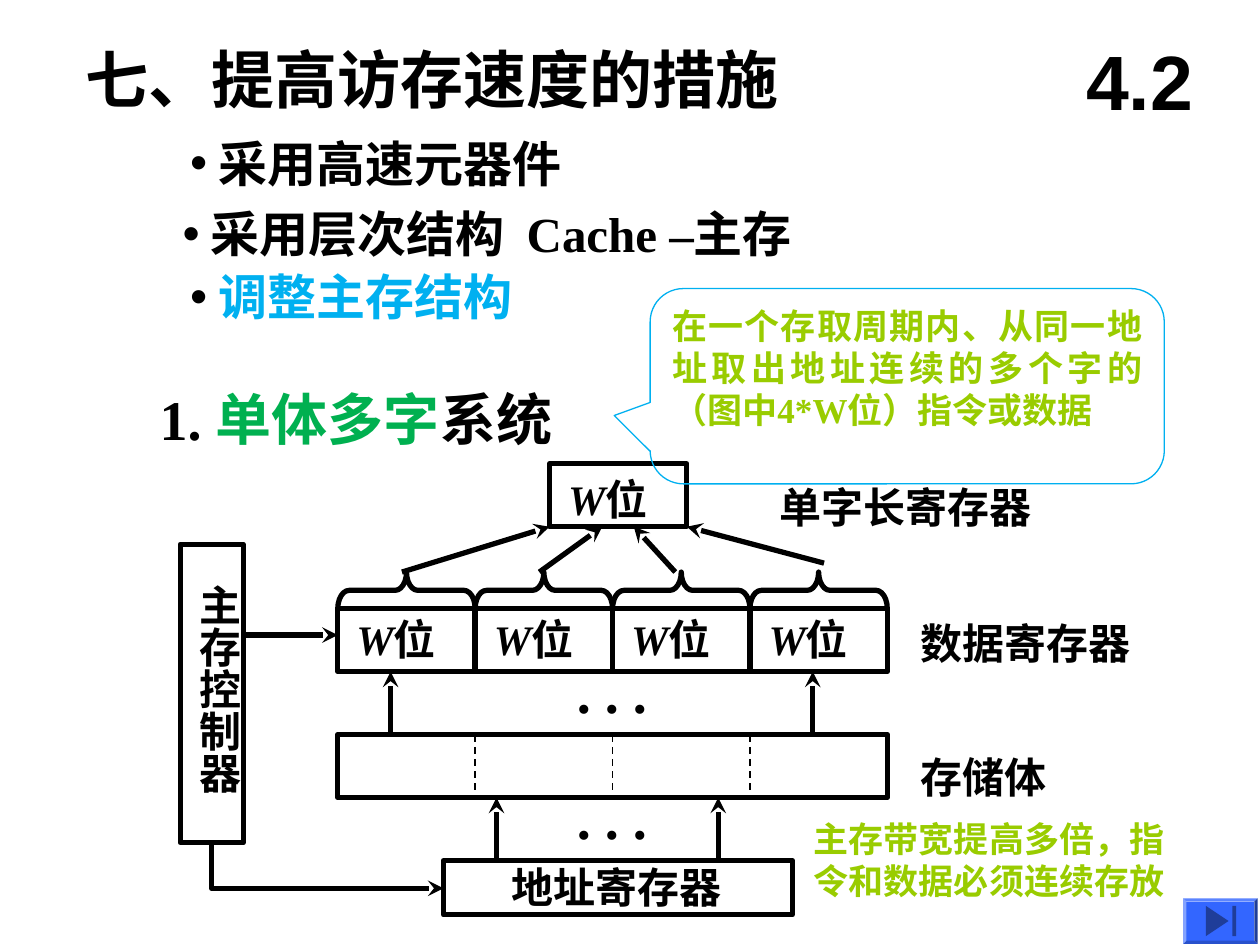
from lxml import etree
from pptx import Presentation
from pptx.dml.color import RGBColor
from pptx.enum.dml import MSO_LINE
from pptx.enum.shapes import MSO_CONNECTOR, MSO_SHAPE
from pptx.enum.text import MSO_ANCHOR, MSO_AUTO_SIZE, PP_ALIGN
from pptx.oxml.ns import qn
from pptx.util import Pt

STRAIGHT = MSO_CONNECTOR.STRAIGHT
RECTANGLE = MSO_SHAPE.RECTANGLE
CALLOUT = MSO_SHAPE.ROUNDED_RECTANGULAR_CALLOUT
DASH = MSO_LINE.DASH
TOP, MIDDLE = MSO_ANCHOR.TOP, MSO_ANCHOR.MIDDLE
LEFT, CENTER, JUSTIFY = PP_ALIGN.LEFT, PP_ALIGN.CENTER, PP_ALIGN.JUSTIFY

COLORS = {name: RGBColor.from_string(value) for name, value in {
    "black": "000000", "blue": "00B0F0", "green": "00B050", "lime": "99CC00",
    "button": "3366FF", "symbol": "1F3D99"}.items()}


def write(para, spans, size, font="Times New Roman", align=LEFT):
    """Fill a paragraph with bold (text, colour, italic) spans."""
    para.alignment = align
    for text, color, italic in spans:
        span = para.add_run()
        span.text = text
        span.font.name = font
        span.font.size = Pt(size)
        span.font.bold = True
        span.font.italic = italic
        span.font.color.rgb = COLORS[color]


def stroke(shape, width=3, color="black", arrow=False):
    shape.line.color.rgb = COLORS[color]
    shape.line.width = Pt(width)
    if arrow:
        etree.SubElement(shape.line._get_or_add_ln(), qn("a:tailEnd"), type="stealth")


deck = Presentation()
deck.slide_width, deck.slide_height = Pt(720), Pt(540)
page = deck.slides.add_slide(deck.slide_layouts[1])
shapes = page.shapes

# Title and list
title, body = page.placeholders
for box, (left, top, width, height) in ((title, (41.8, 19.4, 426, 50.4)),
                                        (body, (97.2, 72.7, 395, 132))):
    box.left, box.top, box.width, box.height = Pt(left), Pt(top), Pt(width), Pt(height)
    box.text_frame.vertical_anchor = TOP
    box.text_frame.auto_size = MSO_AUTO_SIZE.NONE
write(title.text_frame.paragraphs[0], [("七、提高访存速度的措施", "black", False)], 36)

bullets = [
    (4.3, 0, [(" 采用高速元器件", "black", False)]),
    (0, 6.5, [(" 采用层次结构  Cache –主存", "black", False)]),
    (4.3, 2.5, [(" ", "black", False), ("调整主存结构", "blue", False)]),
]
for number, (margin, gap, spans) in enumerate(bullets):
    para = body.text_frame.paragraphs[0] if number == 0 else body.text_frame.add_paragraph()
    write(para, spans, 28)
    para.space_before = Pt(gap)
    para.line_spacing = 1.0
    settings = para._p.get_or_add_pPr()
    settings.set("marL", str(Pt(margin)))
    settings.set("indent", "0")
    bullet_color = etree.SubElement(settings, qn("a:buClr"))
    etree.SubElement(bullet_color, qn("a:srgbClr"), val=str(COLORS["black"]))
    etree.SubElement(settings, qn("a:buChar"), char="•")

# Register and memory blocks
CELL_W, CELL_H = 78.5, 36
WORD_LEFT, WORD_TOP, WORD_BOTTOM = 314, 265, 301
DATA_LEFT, DATA_TOP, DATA_BOTTOM = 193, 347.8, 383.8
MEMORY_TOP, MEMORY_BOTTOM = 419.8, 455.8
ADDRESS_TOP = 491.8
columns = [DATA_LEFT + CELL_W * i for i in range(4)]

blocks = [(103, 311, 36, 170.6), (WORD_LEFT, WORD_TOP, CELL_W, CELL_H),
          (DATA_LEFT, MEMORY_TOP, CELL_W * 4, CELL_H), (253.4, ADDRESS_TOP, 199.4, 31)]
blocks += [(left, DATA_TOP, CELL_W, CELL_H) for left in columns]
for left, top, width, height in blocks:
    block = shapes.add_shape(RECTANGLE, Pt(left), Pt(top), Pt(width), Pt(height))
    block.shadow.inherit = False
    block.fill.background()
    stroke(block)

# Braces above the data cells, turned so that their tips point up
BRACE_W = 20.9
for left in columns:
    brace = shapes.add_shape(MSO_SHAPE.LEFT_BRACE, Pt(left + (CELL_W - BRACE_W) / 2),
                             Pt(DATA_TOP - (CELL_W + BRACE_W) / 2), Pt(BRACE_W), Pt(CELL_W))
    brace.rotation = 90
    brace.adjustments[0] = 0.31
    brace.shadow.inherit = False
    brace.fill.background()
    stroke(brace)

# Arrows, then the dashed cell borders in the memory
WORD_RIGHT = WORD_LEFT + CELL_W
lines = [
    (229.7, 326.9, WORD_LEFT, WORD_BOTTOM), (470.9, 321.8, WORD_RIGHT, WORD_BOTTOM),
    (308.2, 326.9, 344.2, WORD_BOTTOM), (385.9, 326.9, 362.2, WORD_BOTTOM),
    (139, 362.9, DATA_LEFT, 362.9),
]
lines += [(x, MEMORY_TOP, x, DATA_BOTTOM) for x in (223.2, 464.4)]
lines += [(x, ADDRESS_TOP, x, MEMORY_BOTTOM) for x in (283.7, 410.4)]
arrow_count = len(lines)
lines += [(x, MEMORY_TOP, x, MEMORY_BOTTOM) for x in columns[1:]]
for number, ends in enumerate(lines):
    line = shapes.add_connector(STRAIGHT, *(Pt(end) for end in ends))
    is_arrow = number < arrow_count
    stroke(line, 3 if is_arrow else 1)
    if is_arrow:
        etree.SubElement(line.line._get_or_add_ln(), qn("a:tailEnd"), type="stealth")
    else:
        line.line.dash_style = DASH
    etree.SubElement(line._element.spPr, qn("a:effectLst"))

route = shapes.build_freeform(Pt(121), Pt(481.6))
route.add_line_segments([(Pt(121), Pt(507.6)), (Pt(253.4), Pt(507.6))], close=False)
elbow = route.convert_to_shape()
elbow.shadow.inherit = False
elbow.fill.background()
stroke(elbow, arrow=True)

# Labels
word = [("W", "black", True), ("位", "black", False)]
labels = [(left + 3.6, 347, 65.5, 36, word, 24) for left in columns]
labels += [(317.5, 267.1, 65.5, 36, word, 24)]
labels += [(left, top, width, height, [(text, "black", False)], size)
           for left, top, width, height, text, size in (
               (285.5, 488.9, 136.8, 36, "地址寄存器", 24),
               (438.5, 271.4, 163.4, 36, "单字长寄存器", 24),
               (519.1, 349.2, 139.7, 36, "数据寄存器", 24),
               (519.1, 426.2, 91.4, 36, "存储体", 24),
               (322.6, 372.2, 61.9, 46, ". . .", 32),
               (322.6, 444.2, 61.9, 46, ". . .", 32))]
labels += [(84.2, 216, 252, 84.2, [("1. ", "black", False), ("单体多字", "green", False),
                                   ("系统", "black", False)], 32)]
for left, top, width, height, spans, size in labels:
    box = shapes.add_textbox(Pt(left), Pt(top), Pt(width), Pt(height))
    box.text_frame.word_wrap = False
    write(box.text_frame.paragraphs[0], spans, size)

controller = shapes.add_textbox(Pt(100.1), Pt(316), Pt(43.2), Pt(142))
frame = controller.text_frame
frame.word_wrap = False
frame.margin_left = frame.margin_right = Pt(3.6)
frame.margin_top, frame.margin_bottom = Pt(18), Pt(7.2)
frame._txBody.bodyPr.set("vert", "eaVert")
write(frame.paragraphs[0], [("主存控制器", "black", False)], 24)

section = shapes.add_textbox(Pt(606.2), Pt(12.2), Pt(90), Pt(66.2))
section.text_frame.word_wrap = True
section.text_frame.vertical_anchor = MIDDLE
write(section.text_frame.paragraphs[0], [("4.2", "black", False)], 44, "Arial", CENTER)

# Callouts
callouts = [
    ((371.5, 164.9, 293.8, 111.6), (-0.57, 0.15, 0.17), JUSTIFY, True,
     "在一个存取周期内、从同一地址取出地址连续的多个字的（图中4*W位）指令或数据"),
    ((455, 460.8, 232.6, 59.8), (-0.49, -0.76, 0.17), LEFT, False,
     "主存带宽提高多倍，指令和数据必须连续存放"),
]
for area, adjustments, align, outlined, text in callouts:
    callout = shapes.add_shape(CALLOUT, *(Pt(length) for length in area))
    for index, value in enumerate(adjustments):
        callout.adjustments[index] = value
    callout.shadow.inherit = False
    callout.fill.background()
    if outlined:
        stroke(callout, 0.75, "blue")
    else:
        callout.line.fill.background()
    callout.text_frame.word_wrap = True
    callout.text_frame.vertical_anchor = TOP
    write(callout.text_frame.paragraphs[0], [(text, "lime", False)], 20, align=align)

# Button to the last slide
button_parts = [
    (MSO_SHAPE.BEVEL, (676.1, 513.4, 42.5, 25.9), 0, "button"),
    (MSO_SHAPE.ISOSCELES_TRIANGLE, (686.9, 519.8, 17.3, 13), 90, "symbol"),
    (RECTANGLE, (704.2, 517.7, 2.2, 17.3), 0, "symbol"),
]
for kind, area, turn, color in button_parts:
    part = shapes.add_shape(kind, *(Pt(length) for length in area))
    part.rotation = turn
    part.shadow.inherit = False
    part.fill.solid()
    part.fill.fore_color.rgb = COLORS[color]
    part.line.fill.background()
    if kind == MSO_SHAPE.BEVEL:
        part.adjustments[0] = 0.07

deck.save("out.pptx")
